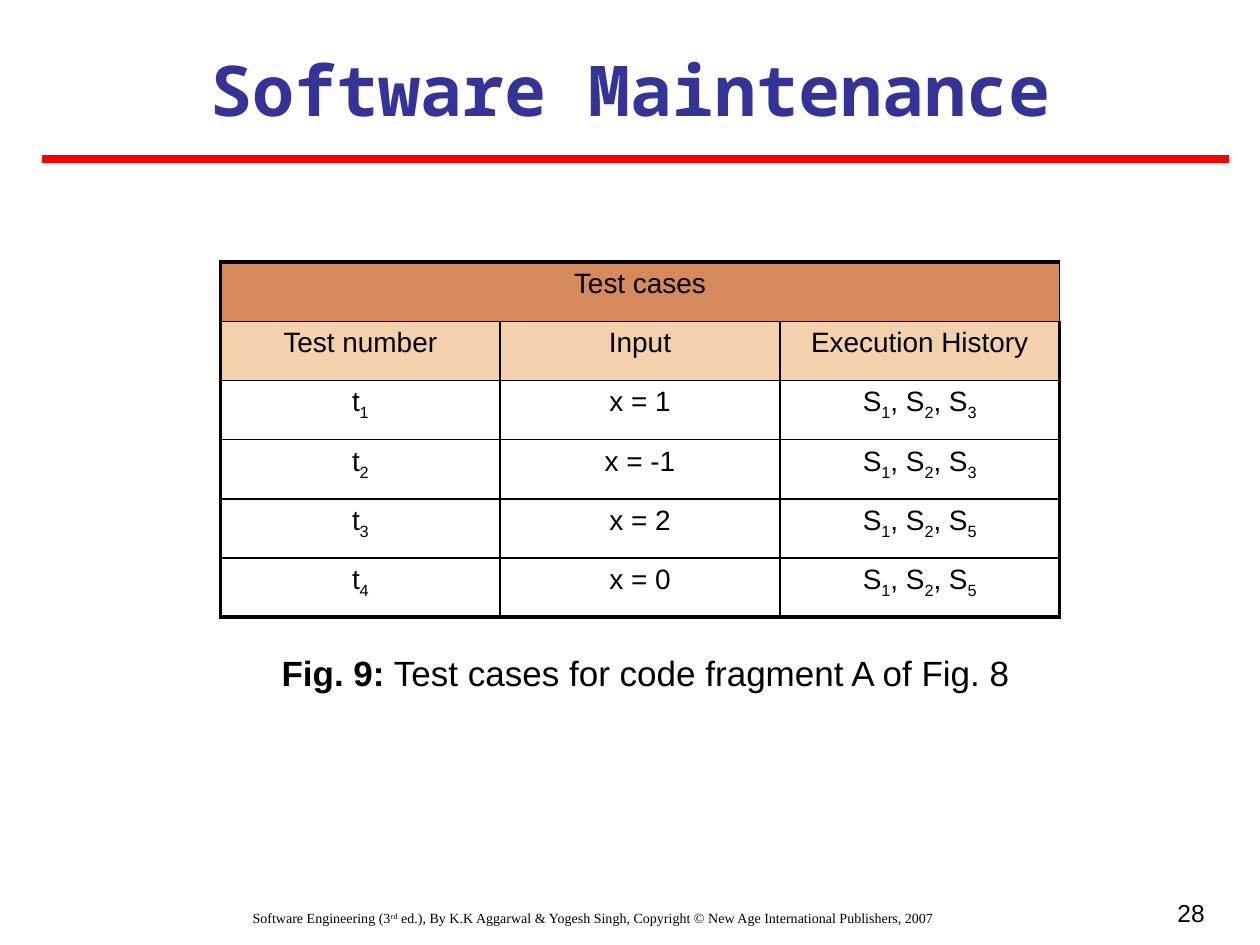
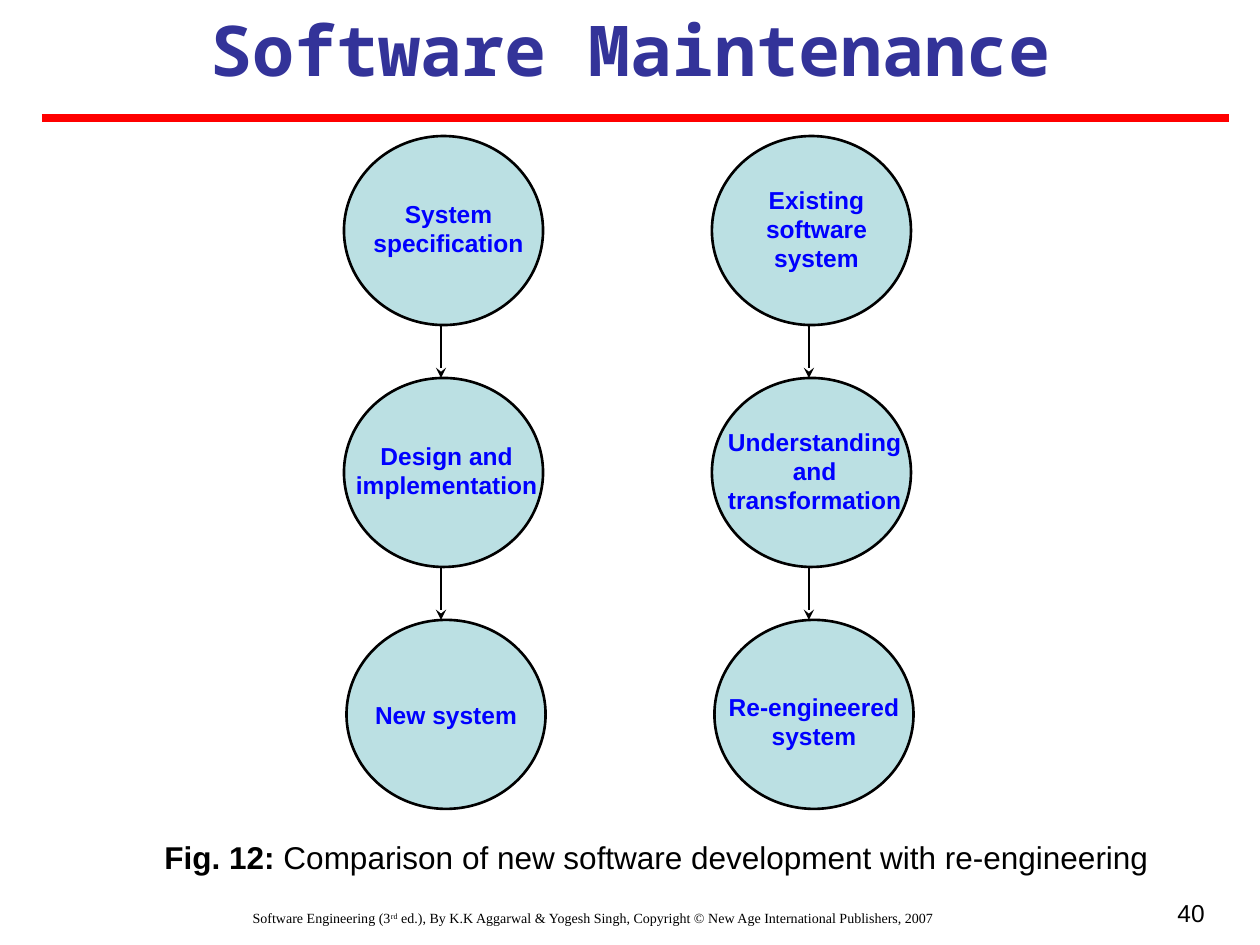
import pptx
import pptx.util
import pptx.dml.color
import pptx.enum.shapes
import pptx.enum.text
import pptx.oxml
import pptx.oxml.ns
import lxml.etree

TITLE = "Software Maintenance"
# A bar switches between plain text and raised or lowered text.
FOOTER = ("Software Engineering (3|rd| ed.), By K.K Aggarwal & Yogesh Singh, "
          "Copyright © New Age International Publishers, 2007")

TEST_CASES = [
    ["Test cases", "", ""],
    ["Test number", "Input", "Execution History"],
    ["t|1", "x = 1", "S|1|, S|2|, S|3"],
    ["t|2", "x = -1", "S|1|, S|2|, S|3"],
    ["t|3", "x = 2", "S|1|, S|2|, S|5"],
    ["t|4", "x = 0", "S|1|, S|2|, S|5"],
]
TEST_CAPTION = ("Fig. 9:", " Test cases for code fragment A of Fig. 8")

# Each step: wording, number of lines, middle of the label below the circle's top
PROCESSES = [
    [("System specification", 2, 0.73), ("Design and implementation", 2, 0.73),
     ("New system", 1, 0.75)],
    [("Existing software system", 3, 0.73), ("Understanding and transformation", 3, 0.73),
     ("Re-engineered system", 2, 0.8)],
]
PROCESS_CAPTION = ("Fig. 12:", " Comparison of new software development with re-engineering")

COLORS = {"text": "000000", "title": "333399", "rule": "FF0000", "circle": "BBE0E3",
          "step": "0000FF", "heading": "D68A5C", "columns": "F2D1AC"}
SANS, MONO, SERIF = "Arial", "Noto Sans Mono", "Times New Roman"

WIDTH, HEIGHT = 10, 7.5
MARGIN = WIDTH / 30
TITLE_HEIGHT = 0.77
RULE_GAP = 0.94          # from the title's top to the rule

TABLE_LEFT, TABLE_TOP = 1.75, 2.08
COLUMN_WIDTH, ROW_HEIGHT = 2.22, 0.47
THICK, THIN = 2.25, 1

CIRCLE_WIDTH, CIRCLE_HEIGHT = 1.58, 1.5
PROCESS_LEFT, PROCESS_TOP = 2.73, 1.08
PROCESS_PITCH, STEP_PITCH = 2.92, 1.92
ARROW_SHIFT = 0.77
STEP_LINE = 0.23
CIRCLE_SHIFTS = [0, 0, 0.02]
LABEL_SPANS = [(0.12, 1.42), (0.07, 1.49), (0.1, 1.42)]   # shift and width by step

Inches, Pt = pptx.util.Inches, pptx.util.Pt
ALIGN, ANCHOR = pptx.enum.text.PP_ALIGN, pptx.enum.text.MSO_ANCHOR


def rgb(name):
    return pptx.dml.color.RGBColor.from_string(COLORS[name])


def add_run(paragraph, words, size, face=SANS, color="text", bold=False, baseline=0):
    run = paragraph.add_run()
    run.text = words
    run.font.size = Pt(size)
    run.font.name = face
    run.font.bold = bold
    run.font.color.rgb = rgb(color)
    if baseline:
        run._r.get_or_add_rPr().set("baseline", str(baseline * 1000))


def add_marked(paragraph, words, size, baseline, face=SANS):
    """Add runs, moving every second part between bars off the baseline."""
    for index, part in enumerate(words.split("|")):
        add_run(paragraph, part, size, face, baseline=baseline if index % 2 else 0)


def add_box(slide, left, top, width, height, align=ALIGN.CENTER,
            anchor=ANCHOR.TOP, inset=True):
    """Add a wrapping text box and return its first paragraph."""
    frame = slide.shapes.add_textbox(
        Inches(left), Inches(top), Inches(width), Inches(height)).text_frame
    frame.word_wrap = True
    frame.vertical_anchor = anchor
    if not inset:
        frame.margin_left = frame.margin_right = frame.margin_top = frame.margin_bottom = 0
    frame.paragraphs[0].alignment = align
    return frame.paragraphs[0]


def add_line(slide, start, end, color, weight, arrow=False):
    line = slide.shapes.add_connector(
        pptx.enum.shapes.MSO_CONNECTOR.STRAIGHT, *map(Inches, start + end))
    line.line.color.rgb = rgb(color)
    line.line.width = Pt(weight)
    if arrow:
        lxml.etree.SubElement(line.line._get_or_add_ln(), pptx.oxml.ns.qn("a:tailEnd"),
                              type="stealth", w="med", len="med")
    lxml.etree.SubElement(line._element.spPr, pptx.oxml.ns.qn("a:effectLst"))


def add_page(deck, number, title_top):
    slide = deck.slides.add_slide(deck.slide_layouts[6])
    add_marked(add_box(slide, 0.25, 7.17, 8.92, 0.33), FOOTER, 8, 30, SERIF)
    add_run(add_box(slide, 7.33, 7.08, 2.33, 0.42, ALIGN.RIGHT), str(number), 14)
    rule = title_top + RULE_GAP
    add_line(slide, (MARGIN, rule), (9.75, rule), "rule", 4.5)
    title = add_box(slide, MARGIN, title_top, WIDTH - 2 * MARGIN, TITLE_HEIGHT,
                    anchor=ANCHOR.MIDDLE)
    add_run(title, TITLE, 40, MONO, "title", True)
    return slide


def add_caption(slide, caption, left, top, width, height, size):
    paragraph = add_box(slide, left, top, width, height, inset=False)
    label, words = caption
    add_run(paragraph, label, size, bold=True)
    add_run(paragraph, words, size)


def set_borders(cell, weights):
    """Draw a cell's left, right, top and bottom borders in points."""
    properties = cell._tc.get_or_add_tcPr()
    for index, (side, weight) in enumerate(zip("LRTB", weights)):
        properties.insert(index, pptx.oxml.parse_xml(
            f'<a:ln{side} {pptx.oxml.ns.nsdecls("a")} w="{Pt(weight)}"><a:solidFill>'
            f'<a:srgbClr val="{COLORS["text"]}"/></a:solidFill></a:ln{side}>'))


def add_test_table(slide):
    rows, columns = len(TEST_CASES), len(TEST_CASES[0])
    table = slide.shapes.add_table(
        rows, columns, Inches(TABLE_LEFT), Inches(TABLE_TOP),
        Inches(columns * COLUMN_WIDTH), Inches(rows * ROW_HEIGHT)).table
    table.first_row = table.horz_banding = False
    fills = {0: "heading", 1: "columns"}
    for r, case in enumerate(TEST_CASES):
        for c, words in enumerate(case):
            cell = table.cell(r, c)
            if r in fills:
                cell.fill.solid()
                cell.fill.fore_color.rgb = rgb(fills[r])
            else:
                cell.fill.background()
            outer = (c == 0, c == columns - 1, r == 0, r == rows - 1)
            set_borders(cell, [THICK if edge else THIN for edge in outer])
            if words:
                paragraph = cell.text_frame.paragraphs[0]
                paragraph.alignment = ALIGN.CENTER
                add_marked(paragraph, words, 16, -25)
    table.cell(0, 0).merge(table.cell(0, columns - 1))


def add_process(slide, steps, left):
    for index, (words, lines, middle) in enumerate(steps):
        top = PROCESS_TOP + index * STEP_PITCH
        circle = slide.shapes.add_shape(
            pptx.enum.shapes.MSO_SHAPE.OVAL, Inches(left + CIRCLE_SHIFTS[index]),
            Inches(top), Inches(CIRCLE_WIDTH), Inches(CIRCLE_HEIGHT))
        circle.shadow.inherit = False
        circle.fill.solid()
        circle.fill.fore_color.rgb = rgb("circle")
        circle.line.color.rgb = rgb("text")
        circle.line.width = Pt(1.5)
        shift, width = LABEL_SPANS[index]
        height = lines * STEP_LINE
        label = add_box(slide, left + shift, top + middle - height / 2,
                        width, height, inset=False)
        add_run(label, words, 14, color="step", bold=True)
        if index < len(steps) - 1:
            x = left + ARROW_SHIFT
            add_line(slide, (x, top + CIRCLE_HEIGHT), (x, top + STEP_PITCH),
                     "text", 1.5, arrow=True)


def main():
    deck = pptx.Presentation()
    deck.slide_width, deck.slide_height = Inches(WIDTH), Inches(HEIGHT)

    tests = add_page(deck, 28, 0.32)
    add_test_table(tests)
    add_caption(tests, TEST_CAPTION, 2.16, 5.17, 5.93, 0.33, 20)

    comparison = add_page(deck, 40, 0)
    add_caption(comparison, PROCESS_CAPTION, 1.17, 6.65, 8.08, 0.3, 18)
    for index, steps in enumerate(PROCESSES):
        add_process(comparison, steps, PROCESS_LEFT + index * PROCESS_PITCH)

    deck.save("out.pptx")


if __name__ == "__main__":
    main()
